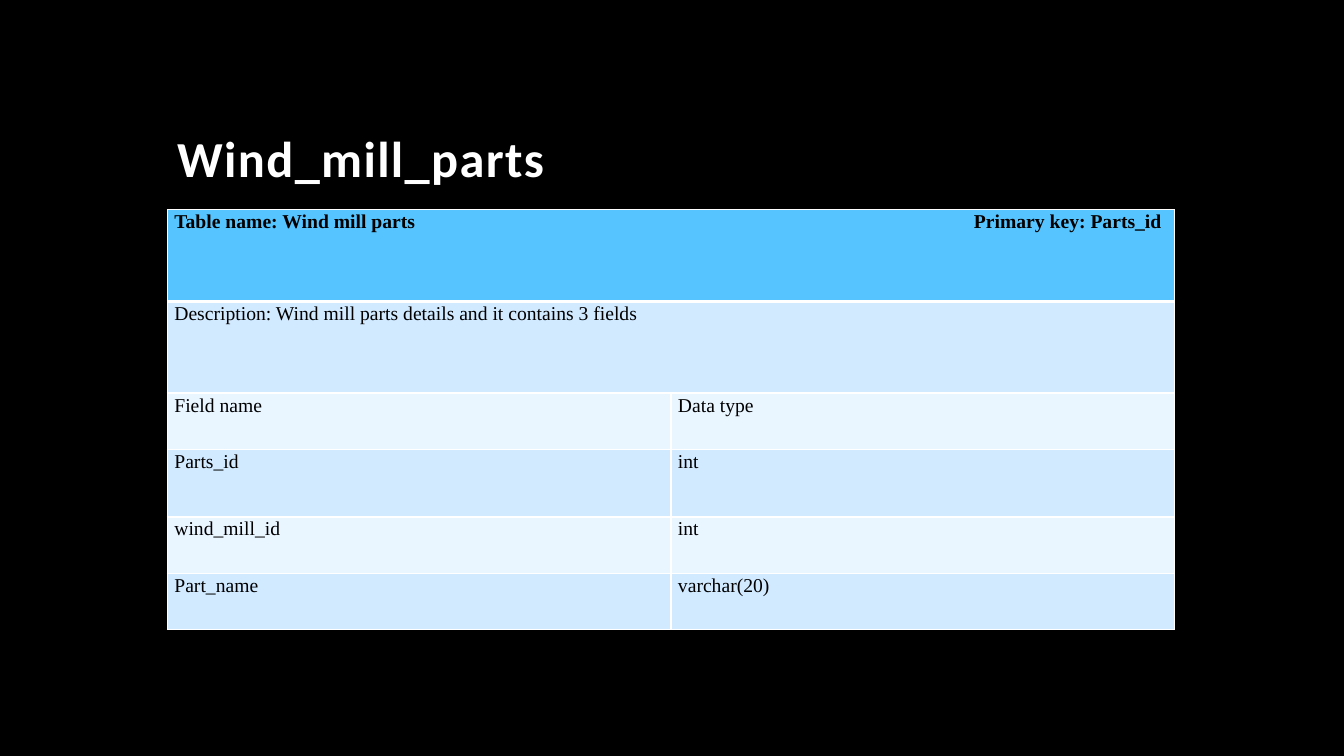
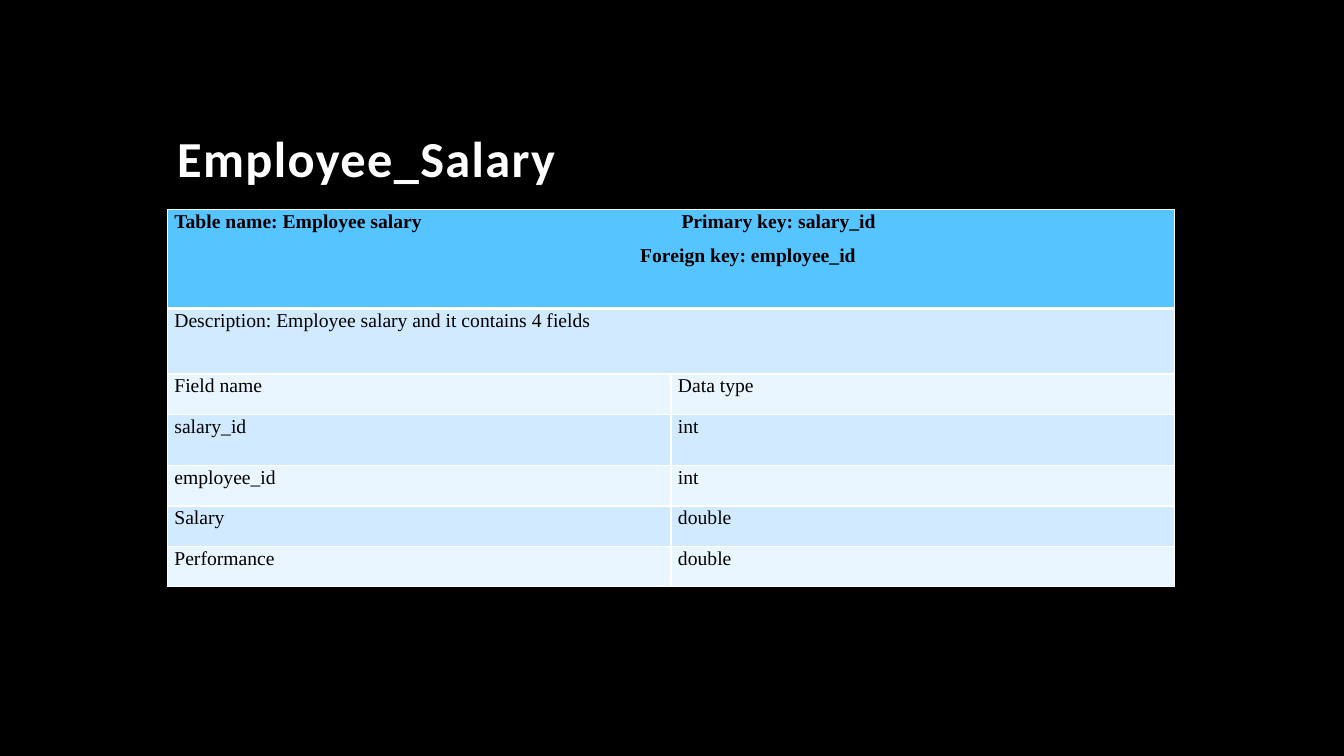
from dataclasses import dataclass

from lxml import etree
from pptx import Presentation
from pptx.dml.color import RGBColor
from pptx.enum import text
from pptx.oxml.ns import qn
from pptx.util import Inches, Pt


@dataclass(frozen=True)
class Theme:
    background: str = "000000"
    title: str = "FFFFFF"
    body: str = "000000"
    border: str = "FFFFFF"
    header: str = "56C5FF"
    bands: tuple = ("D1EAFF", "E9F5FF")
    title_font: str = "Calibri"
    body_font: str = "Times New Roman"
    title_size: int = 36
    body_size: int = 14


THEME = Theme()
TITLE_BOX = (1.66, 0.42, 10, 1.5)
TABLE_BOX = (1.66, 2.08, 9.99)  # left, top, width

SCHEMAS = [
    dict(
        title="Wind_mill_parts",
        header=[("Table name: Wind mill parts\tPrimary key: Parts_id", 7.93)],
        description="Description: Wind mill parts details and it contains 3 fields",
        fields=[("Parts_id", "int"), ("wind_mill_id", "int"),
                ("Part_name", "varchar(20)")],
        heights=[0.91, 0.91, 0.56, 0.67, 0.56, 0.56],
    ),
    dict(
        title="Employee_Salary",
        header=[("Table name: Employee salary\tPrimary key: salary_id", 5.03),
                ("\tForeign key: employee_id", 4.62)],
        description="Description: Employee salary and it contains 4 fields",
        fields=[("salary_id", "int"), ("employee_id", "int"),
                ("Salary", "double"), ("Performance", "double")],
        heights=[0.98, 0.65, 0.4, 0.51, 0.4, 0.4, 0.4],
    ),
]


def write(p, content, *, font=THEME.body_font, size=THEME.body_size,
          color=THEME.body, bold=False, line=1.07, after=8, tab=None, spacing=None):
    """Fill a paragraph; tab is in inches, letter spacing in points."""
    if tab is not None:
        tabs = etree.SubElement(p._p.get_or_add_pPr(), qn("a:tabLst"))
        etree.SubElement(tabs, qn("a:tab"), pos=str(Inches(tab)), algn="l")
    p.line_spacing = line
    p.space_after = Pt(after)
    r = p.add_run()
    r.text = content
    r.font.name = font
    r.font.size = Pt(size)
    r.font.bold = bold
    r.font.color.rgb = RGBColor.from_string(color)
    if spacing is not None:
        r._r.get_or_add_rPr().set("spc", str(spacing * 100))


def style_cell(cell, fill, top=1, bottom=1):
    """Set fill, margins and borders; top and bottom are widths in points."""
    tc_pr = cell._tc.get_or_add_tcPr()
    for side, width in zip("LRTB", (1, 1, top, bottom)):
        ln = etree.SubElement(tc_pr, qn(f"a:ln{side}"), w=str(Pt(width)))
        solid = etree.SubElement(ln, qn("a:solidFill"))
        etree.SubElement(solid, qn("a:srgbClr"), val=THEME.border)
    cell.fill.solid()
    cell.fill.fore_color.rgb = RGBColor.from_string(fill)
    cell.margin_left = cell.margin_right = Inches(0.07)
    cell.margin_top = cell.margin_bottom = 0
    cell.vertical_anchor = text.MSO_ANCHOR.TOP


def add_title(slide, title, box):
    tf = slide.shapes.add_textbox(*map(Inches, box)).text_frame
    tf.word_wrap = True
    tf.vertical_anchor = text.MSO_ANCHOR.BOTTOM
    write(tf.paragraphs[0], title, font=THEME.title_font, size=THEME.title_size,
          color=THEME.title, bold=True, line=0.9, after=0, spacing=1)


def add_schema_table(slide, schema, box):
    left, top, width = box
    heights = schema["heights"]
    table = slide.shapes.add_table(
        len(heights), 2, Inches(left), Inches(top),
        Inches(width), Inches(sum(heights))).table
    table.first_row = table.horz_banding = False

    for i, height in enumerate(heights):
        table.rows[i].height = Inches(height)
        fill = THEME.bands[(i - 1) % 2] if i else THEME.header
        for cell in table.rows[i].cells:
            style_cell(cell, fill, top=3 if i == 1 else 1, bottom=1 if i else 3)
    for i in range(2):
        table.cell(i, 0).merge(table.cell(i, 1))

    tf = table.cell(0, 0).text_frame
    for i, (content, tab) in enumerate(schema["header"]):
        p = tf.add_paragraph() if i else tf.paragraphs[0]
        write(p, content, bold=True, tab=tab)
    rows = [(schema["description"],), ("Field name", "Data type"), *schema["fields"]]
    for i, row in enumerate(rows, start=1):
        for j, content in enumerate(row):
            write(table.cell(i, j).text_frame.paragraphs[0], content)


def add_schema_slide(prs, schema):
    slide = prs.slides.add_slide(prs.slide_layouts[6])
    slide.background.fill.solid()
    slide.background.fill.fore_color.rgb = RGBColor.from_string(THEME.background)
    add_title(slide, schema["title"], TITLE_BOX)
    add_schema_table(slide, schema, TABLE_BOX)


def main():
    prs = Presentation()
    prs.slide_width, prs.slide_height = Inches(13.33), Inches(7.5)
    for schema in SCHEMAS:
        add_schema_slide(prs, schema)
    prs.save("out.pptx")


if __name__ == "__main__":
    main()
